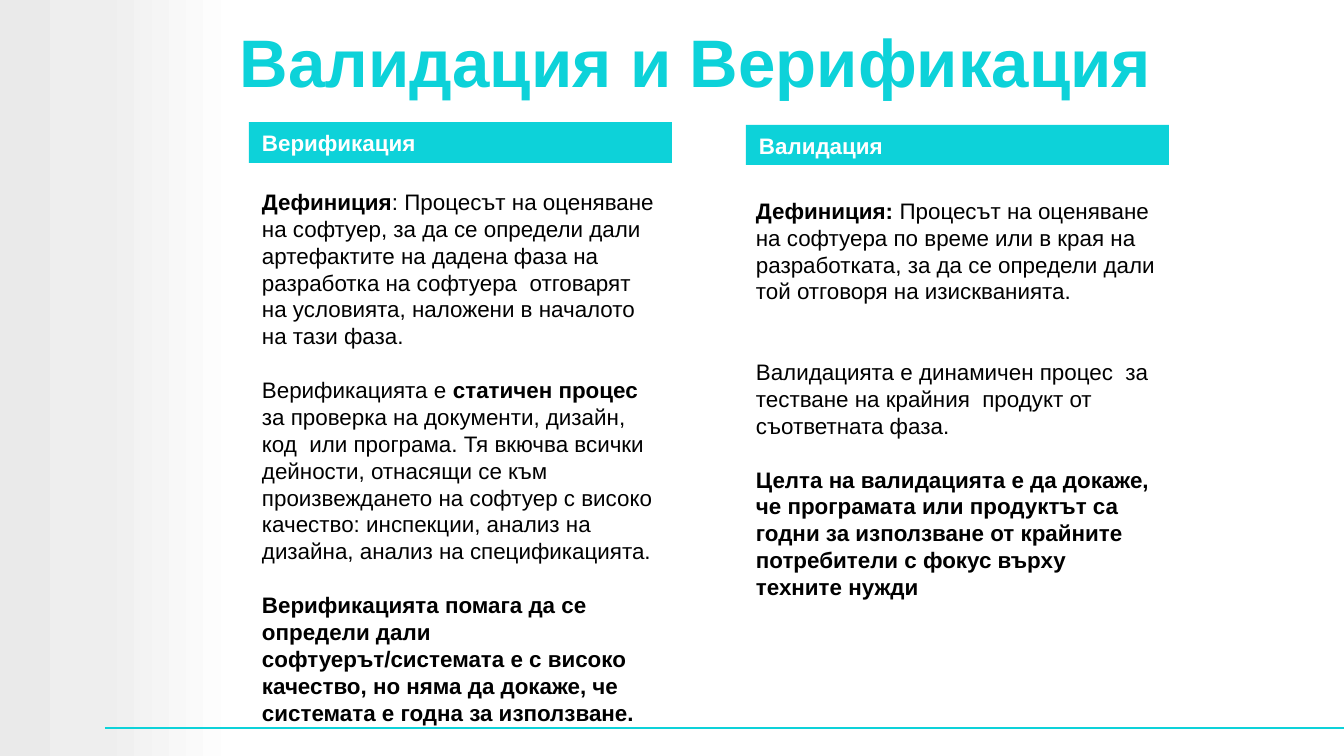
from copy import deepcopy

from lxml import etree
from pptx import Presentation
from pptx.dml.color import RGBColor
from pptx.enum.shapes import MSO_CONNECTOR, MSO_SHAPE
from pptx.enum.text import MSO_ANCHOR, PP_ALIGN
from pptx.oxml.ns import qn
from pptx.util import Emu, Pt

RECTANGLE = MSO_SHAPE.RECTANGLE
STRAIGHT = MSO_CONNECTOR.STRAIGHT
LEFT = PP_ALIGN.LEFT
TOP = MSO_ANCHOR.TOP
MIDDLE = MSO_ANCHOR.MIDDLE

PX_PER_INCH = 134.4
FONT = "Arial"
ACCENT = "0DD2D9"
WHITE = "FFFFFF"
BLACK = "000000"
INSET = 7
BODY_SIZE = 12
BLANK_LINE = 14.4
TITLE_ONLY = 5

PANEL_STOPS = [(0, "EAEAEA"), (0.42, "EEEEEE"), (1, WHITE)]

COLUMNS = [
    {
        "heading": "Верификация",
        "heading_box": (249, 122, 423, 41),
        "body_box": (255, 181, 410, 535),
        "paragraphs": [
            (0, [("Дефиниция", True),
                 (": Процесът на оценяване на софтуер, за да се определи дали "
                  "артефактите на дадена фаза на разработка на софтуера  отговарят "
                  "на условията, наложени в началото на тази фаза.", False)]),
            (1, [("Верификацията е ", False),
                 ("статичен процес ", True),
                 ("за проверка на документи, дизайн, код  или програма. Тя вкючва "
                  "всички дейности, отнасящи се към произвеждането на софтуер с "
                  "високо качество: инспекции, анализ на дизайна, анализ на "
                  "спецификацията.", False)]),
            (1, [("Верификацията помага да се определи дали софтуерът/системата е "
                  "с високо качество, но няма да докаже, че системата е годна за "
                  "използване.", True)]),
        ],
    },
    {
        "heading": "Валидация",
        "heading_box": (746, 125, 423, 40),
        "body_box": (749, 190, 414, 405),
        "paragraphs": [
            (0, [("Дефиниция: ", True),
                 ("Процесът на оценяване на софтуера по време или в края на "
                  "разработката, за да се определи дали той отговоря на "
                  "изискванията.", False)]),
            (2, [("Валидацията е динамичен процес  за тестване на крайния  продукт "
                  "от съответната фаза.", False)]),
            (1, [("Целта на валидацията е да докаже, че програмата или продуктът са "
                  "годни за използване от крайните потребители с фокус върху "
                  "техните нужди", True)]),
        ],
    },
]


def px(value):
    return Emu(round(value * 914400 / PX_PER_INCH))


def color(value):
    return RGBColor.from_string(value)


def format_run(run, size, value, bold):
    run.font.name = FONT
    run.font.size = Pt(size)
    run.font.bold = bold
    run.font.color.rgb = color(value)


def set_frame(text_frame, anchor, left=INSET):
    text_frame.word_wrap = True
    text_frame.vertical_anchor = anchor
    text_frame.margin_left = px(left)
    text_frame.margin_right = px(INSET)
    text_frame.margin_top = px(INSET)
    text_frame.margin_bottom = px(INSET)


def set_line(text_frame, text, size, value):
    text_frame.text = text
    paragraph = text_frame.paragraphs[0]
    paragraph.alignment = LEFT
    format_run(paragraph.runs[0], size, value, True)


def add_rectangle(slide, box):
    shape = slide.shapes.add_shape(RECTANGLE, *map(px, box))
    shape.shadow.inherit = False
    shape.line.fill.background()
    return shape


def add_side_panel(slide):
    panel = add_rectangle(slide, (0, 0, 238, 756))
    panel.fill.gradient()
    panel.fill.gradient_angle = 0
    stop_list = panel.element.spPr.find(f".//{qn('a:gsLst')}")
    stop_list.insert(1, deepcopy(stop_list[0]))
    for stop, (position, value) in zip(panel.fill.gradient_stops, PANEL_STOPS):
        stop.position = position
        stop.color.rgb = color(value)


def add_footer_line(slide):
    connector = slide.shapes.add_connector(
        STRAIGHT, px(105), px(728), px(1344), px(728))
    connector.line.color.rgb = color(ACCENT)
    connector.line.width = Pt(1)
    etree.SubElement(connector.element.spPr, qn("a:effectLst"))


def set_title(slide, text):
    title = slide.shapes.title
    title.left, title.top, title.width, title.height = map(px, (233, 4, 1111, 114))
    set_frame(title.text_frame, MIDDLE)
    set_line(title.text_frame, text, 36, ACCENT)


def add_heading(slide, box, text):
    shape = add_rectangle(slide, box)
    shape.fill.solid()
    shape.fill.fore_color.rgb = color(ACCENT)
    set_frame(shape.text_frame, TOP, left=13)
    set_line(shape.text_frame, text, BODY_SIZE, WHITE)


def add_body(slide, box, paragraphs):
    text_frame = slide.shapes.add_textbox(*map(px, box)).text_frame
    set_frame(text_frame, TOP)
    for index, (blank_lines, runs) in enumerate(paragraphs):
        paragraph = text_frame.add_paragraph() if index else text_frame.paragraphs[0]
        paragraph.space_before = Pt(blank_lines * BLANK_LINE)
        for text, bold in runs:
            run = paragraph.add_run()
            run.text = text
            format_run(run, BODY_SIZE, BLACK, bold)


def main():
    presentation = Presentation()
    presentation.slide_width = px(1344)
    presentation.slide_height = px(756)
    slide = presentation.slides.add_slide(presentation.slide_layouts[TITLE_ONLY])
    add_side_panel(slide)
    add_footer_line(slide)
    set_title(slide, "Валидация и Верификация")
    for column in COLUMNS:
        add_heading(slide, column["heading_box"], column["heading"])
        add_body(slide, column["body_box"], column["paragraphs"])
    presentation.save("out.pptx")


if __name__ == "__main__":
    main()
